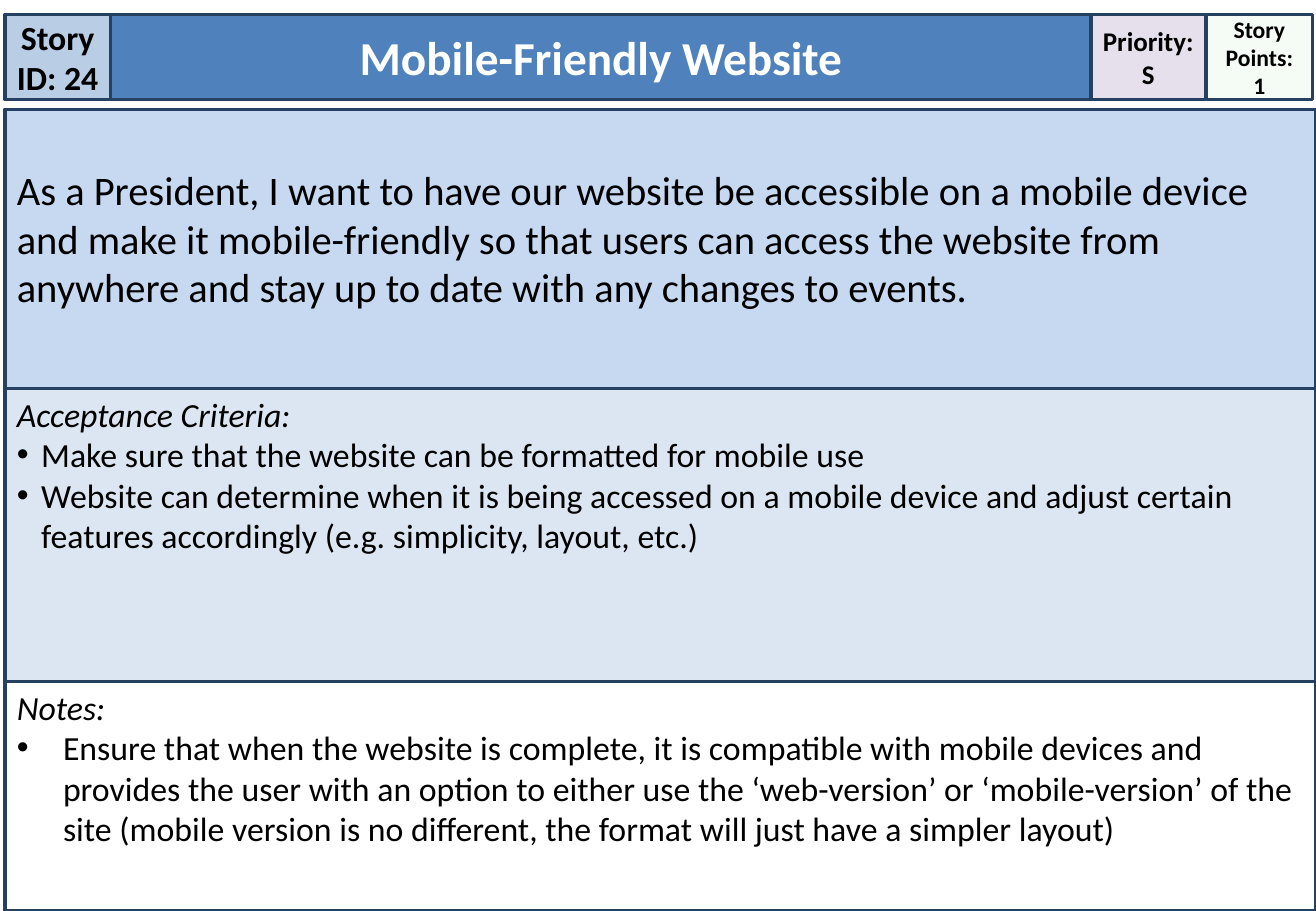
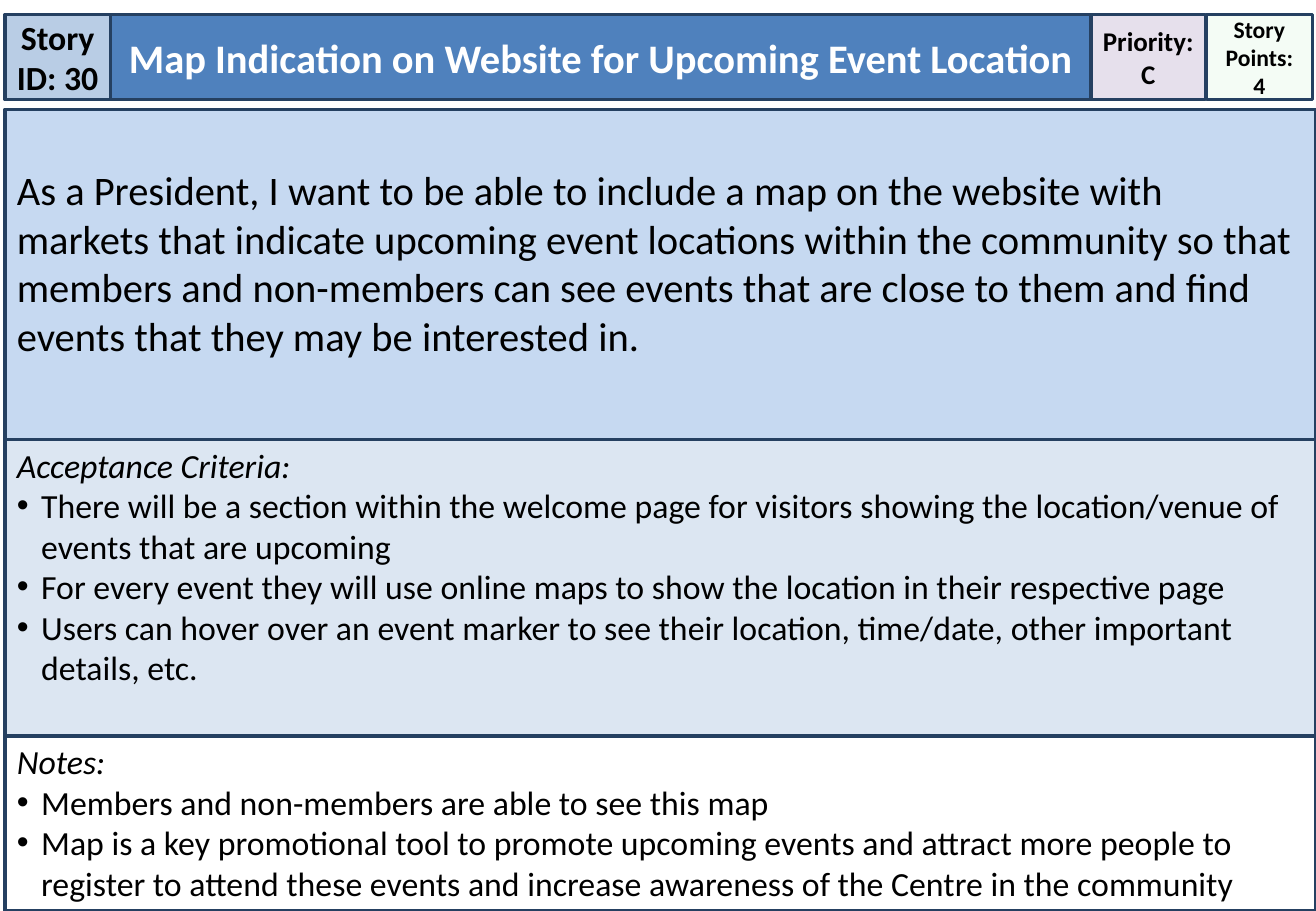
"""Build user story cards, one per slide."""
from dataclasses import dataclass

from lxml import etree
from pptx import Presentation
from pptx.dml.color import RGBColor
from pptx.enum.shapes import MSO_SHAPE
from pptx.enum.text import MSO_ANCHOR, PP_ALIGN
from pptx.oxml.ns import qn
from pptx.util import Inches, Pt

RECT = MSO_SHAPE.RECTANGLE
TOP, MIDDLE = MSO_ANCHOR.TOP, MSO_ANCHOR.MIDDLE
LEFT, CENTER = PP_ALIGN.LEFT, PP_ALIGN.CENTER

FONT = "Calibri"
COLORS = {
    "line": "254061", "text": "000000", "title_text": "FFFFFF",
    "id": "B9CDE5", "title": "4F81BD", "priority": "E6E0EC", "points": "CCF0CD",
    "story": "C6D9F1", "criteria": "DCE6F2", "remarks": "FFFFFF",
}
SLIDE_W, SLIDE_H = 10.83, 7.5
MARGIN = 0.04
HEADER_TOP, HEADER_H = 0.12, 0.7
BODY_TOP = 0.9
BODY_W = SLIDE_W - MARGIN


@dataclass
class Story:
    """Content of one card and the places where its sections begin."""
    number: int
    title: str
    title_size: int
    priority: str
    points: int
    story: str
    criteria: list[str]
    remarks: list[str]
    criteria_top: float
    remarks_top: float
    overlap: float = 0
    remarks_indent: float = 0.2


@dataclass
class HeaderCell:
    """One cell of the header band."""
    name: str
    left: float
    width: float
    lines: list[str]
    size: int
    side_inset: float = 0
    wrap: bool = True
    text_color: str = "text"
    alpha: int = 100


STORIES = [
    Story(
        24, "Mobile-Friendly Website", 28, "S", 1,
        "As a President, I want to have our website be accessible on a mobile device "
        "and make it mobile-friendly so that users can access the website from "
        "anywhere and stay up to date with any changes to events.",
        ["Make sure that the website can be formatted for mobile use",
         "Website can determine when it is being accessed on a mobile device and "
         "adjust certain features accordingly (e.g. simplicity, layout, etc.)"],
        ["Ensure that when the website is complete, it is compatible with mobile "
         "devices and provides the user with an option to either use the "
         "‘web-version’ or ‘mobile-version’ of the site (mobile version is no "
         "different, the format will just have a simpler layout)"],
        criteria_top=3.2, remarks_top=5.61, remarks_indent=0.38),
    Story(
        30, "Map Indication on Website for Upcoming Event Location", 24, "C", 4,
        "As a President, I want to be able to include a map on the website with "
        "markets that indicate upcoming event locations within the community so "
        "that members and non-members can see events that are close to them and "
        "find events that they may be interested in.",
        ["There will be a section within the welcome page for visitors showing the "
         "location/venue of events that are upcoming",
         "For every event they will use online maps to show the location in their "
         "respective page",
         "Users can hover over an event marker to see their location, time/date, "
         "other important details, etc."],
        ["Members and non-members are able to see this map",
         "Map is a key promotional tool to promote upcoming events and attract more "
         "people to register to attend these events and increase awareness of the "
         "Centre in the community"],
        criteria_top=3.62, remarks_top=6.06, overlap=0.02),
]


def add_box(s, name: str, left: float, top: float, width: float, height: float,
            inset: tuple[float, float], anchor=TOP):
    """Add an outlined, filled rectangle with the given side and top insets."""
    sp = s.shapes.add_shape(RECT, Inches(left), Inches(top), Inches(width), Inches(height))
    sp.shadow.inherit = False
    sp.fill.solid()
    sp.fill.fore_color.rgb = RGBColor.from_string(COLORS[name])
    sp.line.color.rgb = RGBColor.from_string(COLORS["line"])
    sp.line.width = Pt(2)
    tf = sp.text_frame
    tf.word_wrap = True
    tf.vertical_anchor = anchor
    tf.margin_left = tf.margin_right = Inches(inset[0])
    tf.margin_top, tf.margin_bottom = Inches(inset[1]), Inches(0.05)
    return sp


def format_paragraph(p, size: int, color: str = "text", align=LEFT,
                     bold: bool = False, italic: bool = False) -> None:
    """Apply alignment and font settings to a paragraph."""
    p.alignment = align
    for r in p.runs:
        r.font.name, r.font.size = FONT, Pt(size)
        r.font.bold, r.font.italic = bold, italic
        r.font.color.rgb = RGBColor.from_string(COLORS[color])


def add_bullet(p, indent: float) -> None:
    """Give a paragraph a hanging bullet."""
    pPr = p._p.get_or_add_pPr()
    pPr.set("marL", str(Inches(indent)))
    pPr.set("indent", str(-Inches(indent)))
    etree.SubElement(pPr, qn("a:buFont")).set("typeface", "Arial")
    etree.SubElement(pPr, qn("a:buChar")).set("char", "•")


def set_alpha(sp, percent: int) -> None:
    """Set the opacity of a solid fill."""
    clr = sp._element.spPr.find(qn("a:solidFill")).find(qn("a:srgbClr"))
    etree.SubElement(clr, qn("a:alpha")).set("val", str(percent * 1000))


def add_header_cell(s, cell: HeaderCell) -> None:
    """Add one bold, centred cell of the header band."""
    sp = add_box(s, cell.name, cell.left, HEADER_TOP, cell.width, HEADER_H,
                 (cell.side_inset, 0.05), MIDDLE)
    if cell.alpha < 100:
        set_alpha(sp, cell.alpha)
    tf = sp.text_frame
    tf.word_wrap = cell.wrap
    tf.text = "\n".join(cell.lines)
    for p in tf.paragraphs:
        format_paragraph(p, cell.size, cell.text_color, CENTER, bold=True)


def add_list_section(s, name: str, top: float, bottom: float, heading: str,
                     items: list[str], indent: float) -> None:
    """Add a section with an italic heading and bullets."""
    tf = add_box(s, name, MARGIN, top, BODY_W, bottom - top, (0.1, 0.04)).text_frame
    tf.text = heading
    format_paragraph(tf.paragraphs[0], 20, italic=True)
    for item in items:
        p = tf.add_paragraph()
        p.text = item
        add_bullet(p, indent)
        format_paragraph(p, 20)


def add_card(prs, story: Story) -> None:
    """Add a slide holding one story card."""
    s = prs.slides.add_slide(prs.slide_layouts[6])
    for cell in (
        HeaderCell("id", MARGIN, 0.87, [f"Story ID: {story.number}"], 20),
        HeaderCell("title", 0.91, 8.07, [story.title], story.title_size,
                   side_inset=0.1, text_color="title_text"),
        HeaderCell("points", 9.93, 0.87, ["Story Points:", str(story.points)], 14, alpha=20),
        HeaderCell("priority", 8.98, 0.94, ["Priority:", story.priority], 16, wrap=False),
    ):
        add_header_cell(s, cell)

    height = story.criteria_top + story.overlap - BODY_TOP
    tf = add_box(s, "story", MARGIN, BODY_TOP, BODY_W, height, (0.1, 0.46)).text_frame
    tf.text = story.story
    format_paragraph(tf.paragraphs[0], 24)
    add_list_section(s, "criteria", story.criteria_top, story.remarks_top + story.overlap,
                     "Acceptance Criteria:", story.criteria, 0.2)
    add_list_section(s, "remarks", story.remarks_top, SLIDE_H,
                     "Notes:", story.remarks, story.remarks_indent)


def main() -> None:
    """Build and save the presentation."""
    prs = Presentation()
    prs.slide_width, prs.slide_height = Inches(SLIDE_W), Inches(SLIDE_H)
    for story in STORIES:
        add_card(prs, story)
    prs.save("out.pptx")


if __name__ == "__main__":
    main()
